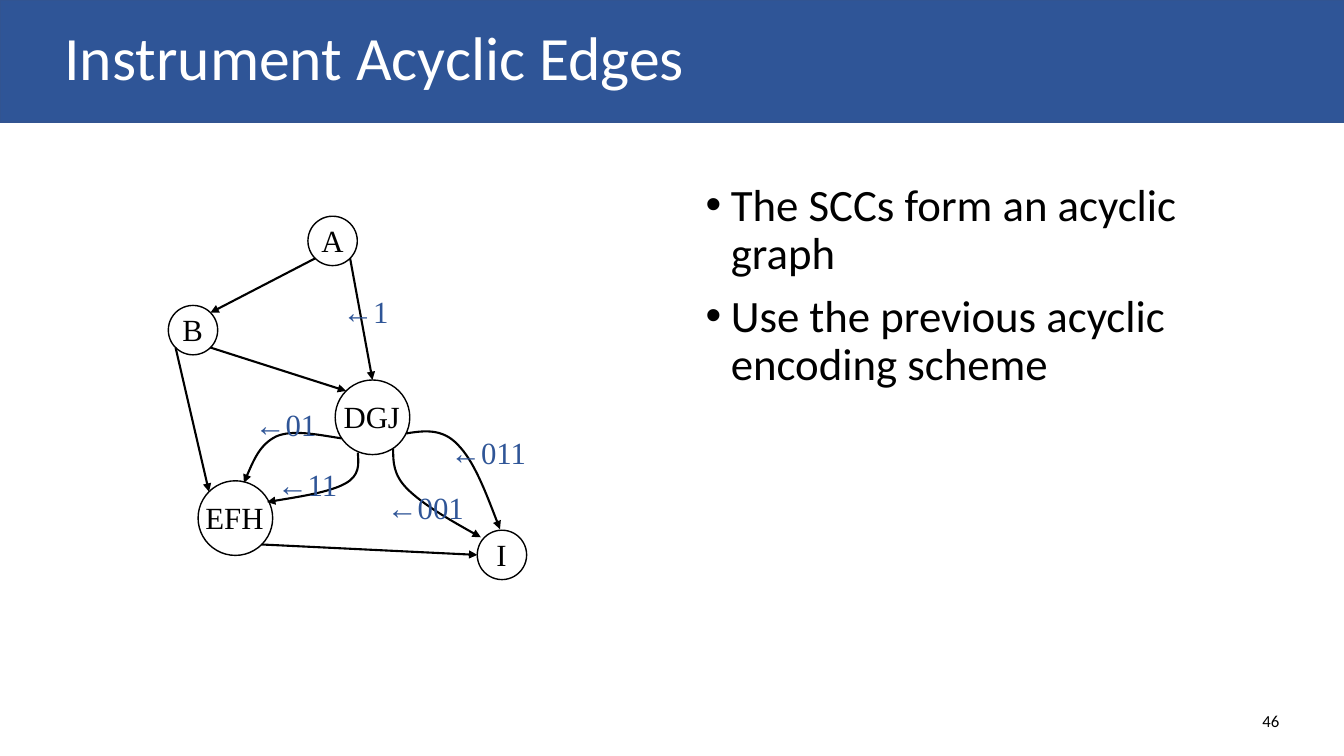
from math import cos, pi, sin

from lxml import etree
from pptx import Presentation
from pptx import util as u
from pptx.dml import color
from pptx.enum import shapes, text
from pptx.oxml import ns

HUES = {"blue": "2F5597", "edge": "325491", "black": "000000", "white": "FFFFFF"}
SANS, SERIF = "Calibri", "Times New Roman"
COLS, ROWS = 133.33, 75


class Board:
    def __init__(self, deck):
        self.wide, self.high = deck.slide_width, deck.slide_height
        self.slide = deck.slides.add_slide(deck.slide_layouts[1])
        self.nodes = {}

    def x(self, col):
        return round(self.wide * col / COLS)

    def y(self, row):
        return round(self.high * row / ROWS)

    def box(self, area):
        col, row, wide, high = area
        return self.x(col), self.y(row), self.x(wide), self.y(high)

    def hue(self, name):
        return color.RGBColor.from_string(HUES[name])

    def font(self, para, face, size, hue):
        para.font.name, para.font.size = face, u.Pt(size)
        para.font.color.rgb = self.hue(hue)

    def paint(self, shape, fill, line):
        shape.shadow.inherit = False
        if fill:
            shape.fill.solid()
            shape.fill.fore_color.rgb = self.hue(fill)
        else:
            shape.fill.background()
        shape.line.color.rgb = self.hue(line)
        shape.line.width = u.Pt(1)

    def place(self, shape, area):
        shape.left, shape.top, shape.width, shape.height = self.box(area)
        shape.text_frame.auto_size = text.MSO_AUTO_SIZE.NONE

    def title(self, words, area):
        head = self.slide.shapes.title
        bar = self.slide.shapes.add_shape(
            shapes.MSO_SHAPE.RECTANGLE, *self.box((0, 0, COLS, area[3])))
        self.paint(bar, "blue", "edge")
        head.element.addprevious(bar.element)
        self.place(head, area)
        head.text_frame.text = words
        head.text_frame.vertical_anchor = text.MSO_ANCHOR.MIDDLE
        para = head.text_frame.paragraphs[0]
        para.alignment, para.line_spacing = text.PP_ALIGN.LEFT, 0.9
        self.font(para, SANS, 44, "white")

    def list(self, items, area):
        body = self.slide.placeholders[1]
        self.place(body, area)
        body.text_frame.text = "\n".join(items)
        for para in body.text_frame.paragraphs:
            para.line_spacing, para.space_before = 0.9, u.Pt(10)
            self.font(para, SANS, 32, "black")
            props = para._p.get_or_add_pPr()
            props.set("marL", str(u.Inches(0.25)))
            props.set("indent", str(-u.Inches(0.25)))

    def label(self, words, area, face=SERIF, size=22, hue="blue", wrap=False,
              align=text.PP_ALIGN.LEFT, anchor=text.MSO_ANCHOR.TOP):
        frame = self.slide.shapes.add_textbox(*self.box(area)).text_frame
        frame.word_wrap, frame.vertical_anchor = wrap, anchor
        if not wrap:
            frame.auto_size = text.MSO_AUTO_SIZE.SHAPE_TO_FIT_TEXT
        frame.text = words
        frame.paragraphs[0].alignment = align
        self.font(frame.paragraphs[0], face, size, hue)

    def node(self, name, col, row, size, wide, fill=None):
        self.nodes[name] = col, row, size / 2
        disc = self.slide.shapes.add_shape(
            shapes.MSO_SHAPE.OVAL,
            *self.box((col - size / 2, row - size / 2, size, size)))
        self.paint(disc, fill, "black")
        self.label(name, (col - wide / 2, row - 2.4, wide, 4.7), hue="black")

    def rim(self, name, site):
        col, row, size = self.nodes[name]
        turn = pi / 2 + site * pi / 4
        return self.x(col + size * cos(turn)), self.y(row - size * sin(turn))

    def arrow(self, shape):
        shape.line.color.rgb = self.hue("black")
        shape.line.width = u.Pt(1.5)
        tail = etree.SubElement(shape.line._get_or_add_ln(), ns.qn("a:tailEnd"))
        tail.set("type", "triangle")

    def edge(self, start, out, end, into):
        line = self.slide.shapes.add_connector(
            shapes.MSO_CONNECTOR.STRAIGHT,
            *self.rim(start, out), *self.rim(end, into))
        etree.SubElement(line._element.spPr, ns.qn("a:effectLst"))
        self.arrow(line)

    def curve(self, knots):
        dots = [(self.x(col), self.y(row)) for col, row in knots]
        pen = self.slide.shapes.build_freeform(*dots[0])
        pen.add_line_segments(dots[3::3], close=False)
        bend = pen.convert_to_shape()
        legs = list(bend.element.iter(ns.qn("a:lnTo")))
        for i, leg in enumerate(legs):
            leg.tag = ns.qn("a:cubicBezTo")
            grips = dots[3 * i + 1:3 * i + 3]
            for spot, (left, top) in enumerate(grips):
                point = etree.Element(ns.qn("a:pt"))
                point.set("x", str(left - bend.left))
                point.set("y", str(top - bend.top))
                leg.insert(spot, point)
        bend.shadow.inherit = False
        bend.fill.background()
        self.arrow(bend)


def main():
    deck = Presentation()
    deck.slide_width, deck.slide_height = u.Inches(13.33), u.Inches(7.5)
    board = Board(deck)
    board.title("Instrument Acyclic Edges", (5.4, 0, 122.5, 12.1))
    board.list(["The SCCs form an acyclic graph",
                "Use the previous acyclic encoding scheme"],
               (69, 17.6, 59, 47.6))
    board.label("46", (97.9, 69.5, 30, 4), SANS, 12, "black", True,
                text.PP_ALIGN.RIGHT, text.MSO_ANCHOR.MIDDLE)

    small, large = 4.9, 7.4
    for node in (("A", 33, 23.9, small, 4.2, "white"),
                 ("B", 19.15, 32.75, small, 4.1),
                 ("EFH", 23.35, 51.4, large, 7.9),
                 ("I", 49.8, 55.05, small, 3.1, "white"),
                 ("DGJ", 36.95, 41.4, large, 7.7)):
        board.node(*node)

    for edge in (("A", 3, "B", 7), ("A", 5, "DGJ", 0), ("B", 5, "DGJ", 1),
                 ("EFH", 5, "I", 2), ("B", 3, "EFH", 1)):
        board.edge(*edge)

    for knots in (
        [(33.9, 43.5), (31.4, 43.1), (29, 42.6), (27.4, 43.3),
         (25.8, 44.1), (25, 46), (24.2, 47.9)],
        [(35.5, 44.9), (35.6, 46.1), (35.7, 47.2), (34.2, 48),
         (32.7, 48.8), (29.6, 49.3), (26.5, 49.8)],
        [(39, 44.5), (39, 45.8), (39, 47.1), (40.4, 48.5),
         (41.9, 50), (44.8, 51.7), (47.7, 53.3)],
        [(40.3, 43), (42.1, 42.7), (43.9, 42.5), (45.4, 44.1),
         (47, 45.7), (48.3, 49.1), (49.6, 52.5)],
    ):
        board.curve(knots)

    for code, col, row, wide in (
        ("1", 33, 28.6, 6.6), ("001", 37.4, 48, 9.7), ("11", 26.5, 45.7, 8.1),
        ("011", 43.7, 42.5, 9.6), ("01", 24.3, 39.8, 8.2),
    ):
        board.label("←" + code, (col, row, wide, 4.7))

    deck.save("out.pptx")


if __name__ == "__main__":
    main()
